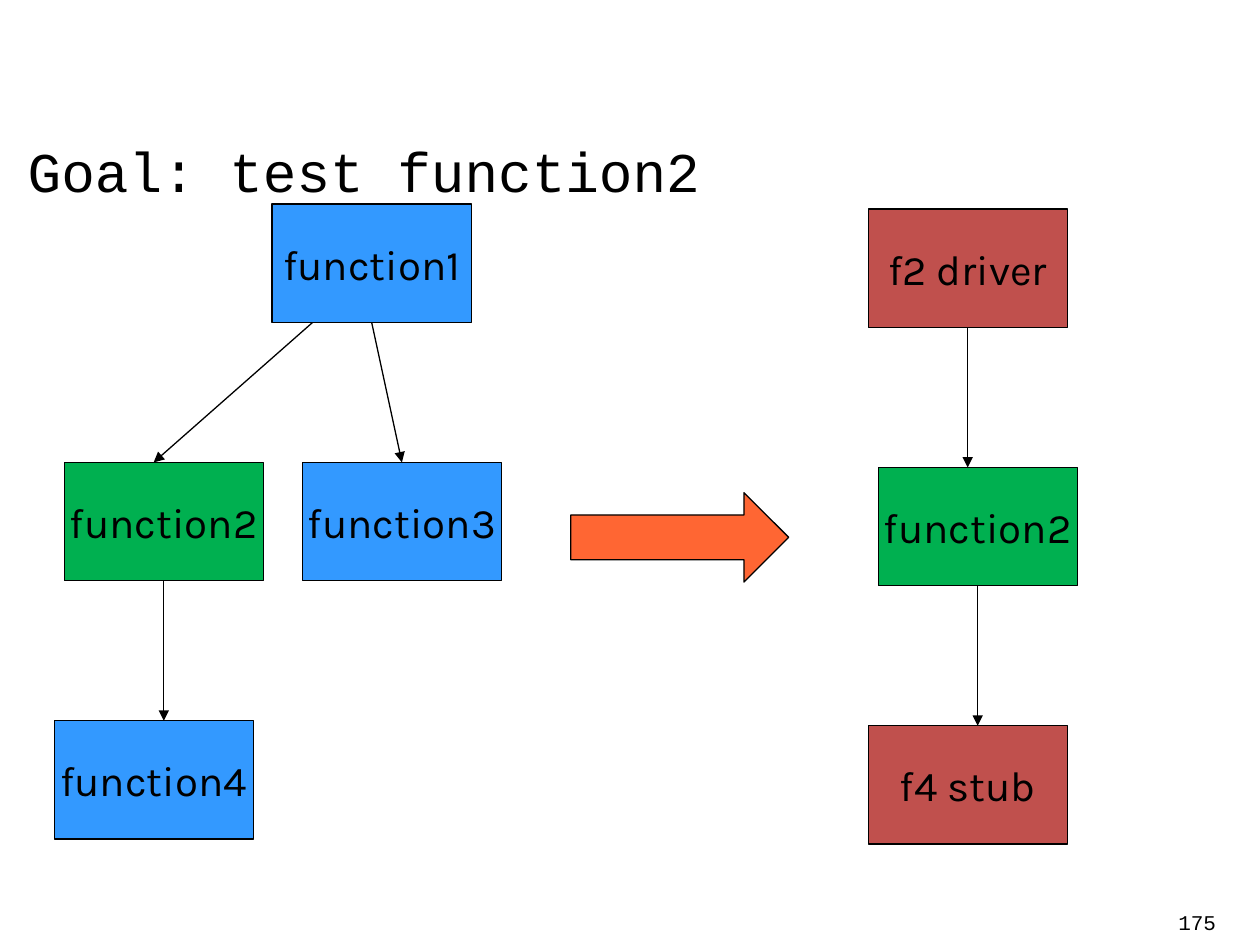
from pptx import Presentation
from pptx.dml.color import RGBColor
from pptx.enum.shapes import MSO_CONNECTOR, MSO_SHAPE
from pptx.enum.text import MSO_ANCHOR, PP_ALIGN
from pptx.oxml.ns import qn
from pptx.util import Inches, Pt
from lxml import etree

RECTANGLE, RIGHT_ARROW = MSO_SHAPE.RECTANGLE, MSO_SHAPE.RIGHT_ARROW
STRAIGHT = MSO_CONNECTOR.STRAIGHT
TOP, MIDDLE = MSO_ANCHOR.TOP, MSO_ANCHOR.MIDDLE
LEFT, CENTER, RIGHT = PP_ALIGN.LEFT, PP_ALIGN.CENTER, PP_ALIGN.RIGHT
TOP_SIDE, BOTTOM_SIDE = 0, 2

# Content
TITLE = "Goal: test function2"
PAGE_NUMBER = "175"
BLACK, BLUE, GREEN, RED, ORANGE = "000000", "3399FF", "00B050", "C0504D", "FF6633"
BOX_WIDTH, BOX_HEIGHT, ROW_STEP = 1.58, 0.94, 2.05
CALL_TREE_TOP, HARNESS_TOP = 1.62, 1.66

# key: (label, left, top of its diagram, row, fill)
BOXES = {
    "function1": ("function1", 2.16, CALL_TREE_TOP, 0, BLUE),
    "function2": ("function2", 0.51, CALL_TREE_TOP, 1, GREEN),
    "function3": ("function3", 2.4, CALL_TREE_TOP, 1, BLUE),
    "function4": ("function4", 0.43, CALL_TREE_TOP, 2, BLUE),
    "driver": ("f2 driver", 6.89, HARNESS_TOP, 0, RED),
    "tested": ("function2", 6.97, HARNESS_TOP, 1, GREEN),
    "stub": ("f4 stub", 6.89, HARNESS_TOP, 2, RED),
}
# caller, callee, x at the caller, x at the callee (None: middle of the side)
CALLS = [
    ("function1", "function2", 2.48, 1.22),
    ("function1", "function3", None, None),
    ("function2", "function4", None, 1.3),
    ("driver", "tested", None, 7.68),
    ("tested", "stub", None, 7.76),
]


def color(value):
    return RGBColor.from_string(value)


def write(shape, text, font, size, alignment, anchor):
    frame = shape.text_frame
    frame.text = text
    frame.vertical_anchor = anchor
    para = frame.paragraphs[0]
    para.alignment = alignment
    para.font.name = font
    para.font.size = Pt(size)
    para.font.color.rgb = color(BLACK)
    return frame


def outline(line):
    line.color.rgb = color(BLACK)
    line.width = Pt(0.75)


def add_filled(kind, left, top, width, height, fill):
    shape = page.shapes.add_shape(
        kind, Inches(left), Inches(top), Inches(width), Inches(height))
    shape.shadow.inherit = False
    shape.fill.solid()
    shape.fill.fore_color.rgb = color(fill)
    outline(shape.line)
    return shape


def add_call(caller, callee, start_x, end_x):
    start, end = shapes[caller], shapes[callee]
    middle_x = [box.left + box.width // 2 for box in (start, end)]
    arrow = page.shapes.add_connector(
        STRAIGHT,
        middle_x[0] if start_x is None else Inches(start_x),
        start.top + start.height,
        middle_x[1] if end_x is None else Inches(end_x),
        end.top)
    if start_x is None:
        arrow.begin_connect(start, BOTTOM_SIDE)
    if end_x is None:
        arrow.end_connect(end, TOP_SIDE)
    outline(arrow.line)
    etree.SubElement(arrow.line._get_or_add_ln(), qn("a:tailEnd"), type="triangle")
    etree.SubElement(arrow._element.spPr, qn("a:effectLst"))


deck = Presentation()
deck.slide_width, deck.slide_height = Inches(10), Inches(7.5)
page = deck.slides.add_slide(deck.slide_layouts[5])

# Title
title = page.shapes.title
title.left, title.top = Inches(0.12), Inches(0.94)
title.width, title.height = Inches(9), Inches(5.25)
title_frame = write(title, TITLE, "Courier New", 32, LEFT, TOP)
title_frame.margin_top = Inches(0.14)

# Function boxes
shapes = {}
for key, (label, left, first_top, row, fill) in BOXES.items():
    box = add_filled(RECTANGLE, left, first_top + row * ROW_STEP,
                     BOX_WIDTH, BOX_HEIGHT, fill)
    write(box, label, "Karla", 24, CENTER, MIDDLE).word_wrap = False
    shapes[key] = box

# Calls between functions
for call in CALLS:
    add_call(*call)

# Arrow from the call tree to the test harness
add_filled(RIGHT_ARROW, 4.53, 3.91, 1.73, 0.71, ORANGE)

# Page number
number = page.shapes.add_textbox(Inches(8.25), Inches(7.17), Inches(1.5), Inches(0.33))
write(number, PAGE_NUMBER, "Courier New", 12, RIGHT, TOP).word_wrap = True

deck.save("out.pptx")
